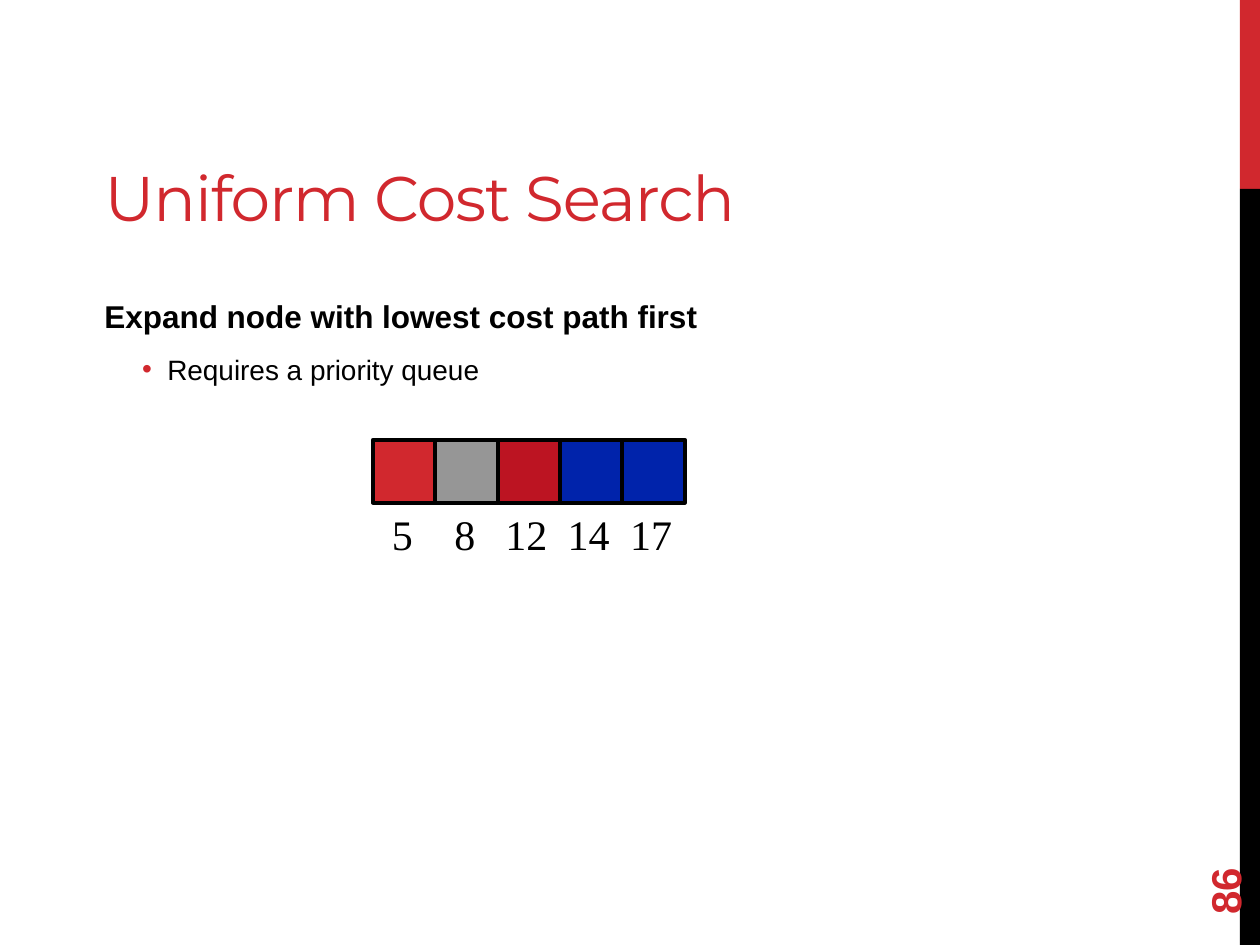
import pptx
import pptx.util
import pptx.dml.color
import pptx.enum.shapes
import pptx.enum.text
import pptx.oxml
import pptx.oxml.ns

Inches = pptx.util.Inches
Pt = pptx.util.Pt
RGB = pptx.dml.color.RGBColor
ANCHOR = pptx.enum.text.MSO_ANCHOR
ALIGN = pptx.enum.text.PP_ALIGN
FIT = pptx.enum.text.MSO_AUTO_SIZE

RED = RGB(0xD1, 0x28, 0x2E)
BLACK = RGB(0, 0, 0)
GRAY = RGB(0x96, 0x96, 0x96)
DARK = RGB(0xBC, 0x14, 0x22)
BLUE = RGB(0x00, 0x23, 0xAB)

QUEUE = [("5", RED), ("8", GRAY), ("12", DARK), ("14", BLUE), ("17", BLUE)]
LEFT, TOP, STEP, SIDE = 2.96, 3.49, 0.495, 0.5


def style(para, font, size, color, bold=False):
    for run in para.runs:
        run.font.name = font
        run.font.size = Pt(size)
        run.font.color.rgb = color
        run.font.bold = bold


def add_rect(slide, x, y, w, h, fill, line=None):
    rect = slide.shapes.add_shape(
        pptx.enum.shapes.MSO_SHAPE.RECTANGLE,
        Inches(x), Inches(y), Inches(w), Inches(h))
    rect.shadow.inherit = False
    rect.fill.solid()
    rect.fill.fore_color.rgb = fill
    if line is None:
        rect.line.fill.background()
    else:
        rect.line.color.rgb = line
        rect.line.width = Pt(2.25)


def add_text(slide, x, y, w, h, text, wrap=True):
    box = slide.shapes.add_textbox(Inches(x), Inches(y), Inches(w), Inches(h))
    box.text_frame.word_wrap = wrap
    box.text_frame.text = text
    return box


def add_bullet(para, char, color):
    props = para._p.get_or_add_pPr()
    props.set("marL", str(Inches(0.5)))
    props.set("indent", str(Inches(-0.2)))
    space = pptx.oxml.ns.nsdecls("a")
    for xml in (
        f'<a:buClr {space}><a:srgbClr val="{color}"/></a:buClr>',
        f'<a:buFont {space} typeface="Arial"/>',
        f'<a:buChar {space} char="{char}"/>',
    ):
        props.append(pptx.oxml.parse_xml(xml))


def set_title(slide, text):
    title = slide.shapes.title
    title.left, title.top = Inches(0.73), Inches(0.66)
    title.width, title.height = Inches(8.5), Inches(1.25)
    frame = title.text_frame
    frame.text = text
    frame.auto_size = FIT.NONE
    frame.vertical_anchor = ANCHOR.BOTTOM
    para = frame.paragraphs[0]
    para.alignment = ALIGN.LEFT
    style(para, "Montserrat", 36, RED)
    para.runs[0]._r.get_or_add_rPr().set("spc", "-60")


def add_body(slide):
    box = add_text(slide, 0.73, 2.31, 8.5, 5.19,
                   "Expand node with lowest cost path first")
    head = box.text_frame.paragraphs[0]
    head.space_after = Pt(6)
    style(head, "Arial", 18, BLACK, True)
    item = box.text_frame.add_paragraph()
    item.text = "Requires a priority queue"
    item.level = 1
    add_bullet(item, "•", RED)
    item.space_before = Pt(4)
    style(item, "Arial", 16, BLACK)


def add_queue(slide):
    for i, (cost, fill) in enumerate(QUEUE):
        x = LEFT + i * STEP
        add_rect(slide, x, TOP, STEP, SIDE, fill, BLACK)
        wide = 0.39 if len(cost) == 1 else 0.57
        box = add_text(slide, x + (STEP - wide) / 2, TOP + SIDE, wide, 0.5,
                       cost, False)
        box.text_frame.auto_size = FIT.SHAPE_TO_FIT_TEXT
        style(box.text_frame.paragraphs[0], "Times New Roman", 24, BLACK)


def add_number(slide, text):
    box = add_text(slide, 9, 6.44, 1.44, 0.4, text)
    box.rotation = 270
    box.text_frame.vertical_anchor = ANCHOR.MIDDLE
    style(box.text_frame.paragraphs[0], "Arial", 24, RED, True)


def main():
    deck = pptx.Presentation()
    deck.slide_width, deck.slide_height = Inches(10), Inches(7.5)
    slide = deck.slides.add_slide(deck.slide_layouts[5])
    add_rect(slide, 9.84, 0, 0.16, 1.5, RED)
    add_rect(slide, 9.84, 1.5, 0.16, 6, BLACK)
    add_number(slide, "86")
    set_title(slide, "Uniform Cost Search")
    add_body(slide)
    add_queue(slide)
    deck.save("out.pptx")


if __name__ == "__main__":
    main()
